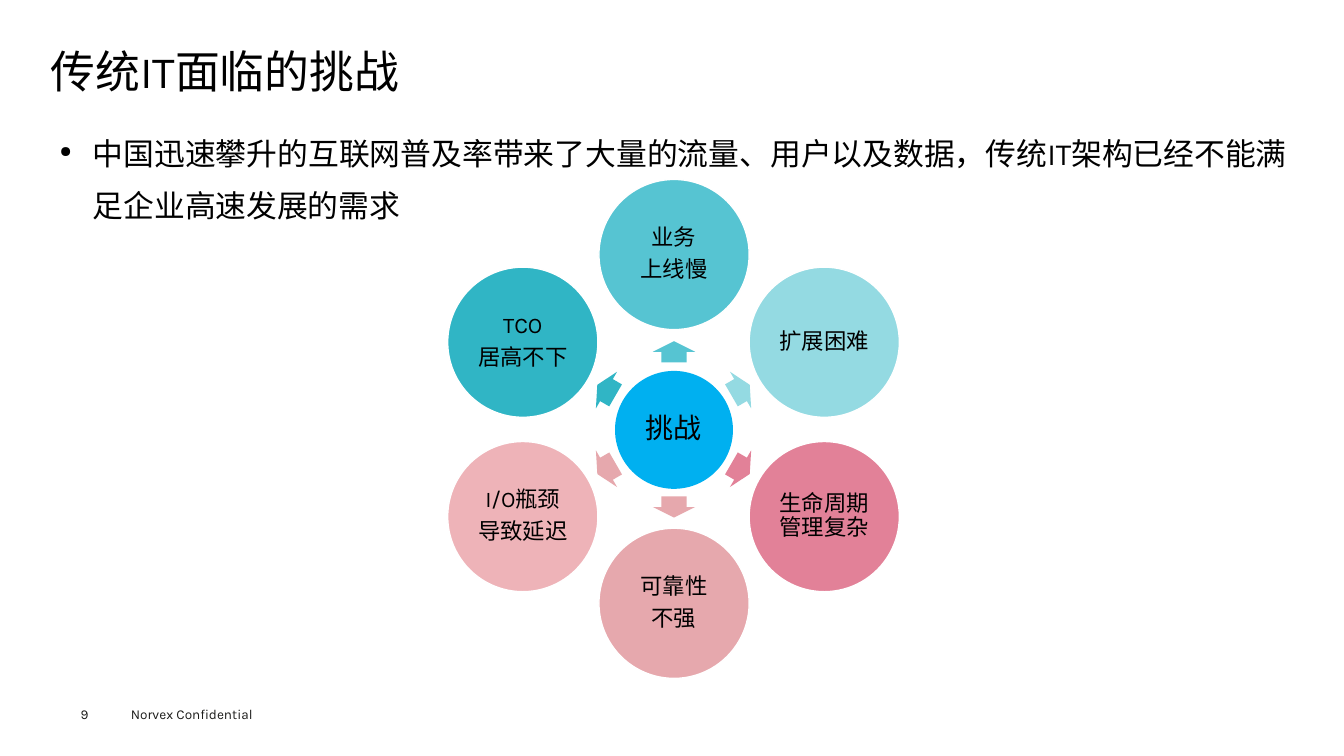
import math
from dataclasses import dataclass, field

import pptx
import pptx.dml.color
import pptx.enum.shapes
import pptx.enum.text
import pptx.oxml
import pptx.oxml.ns
import pptx.shapes.autoshape
import pptx.slide
import pptx.text.text
import pptx.util

PX = 9144
SHAPE = pptx.enum.shapes.MSO_SHAPE
ALIGN = pptx.enum.text.PP_ALIGN
ANCHOR = pptx.enum.text.MSO_ANCHOR

COLORS = {
    "text": "000000",
    "footer": "1D1D1B",
    "white": "FFFFFF",
    "hub": "00B0F0",
    "teal": "56C4D2",
    "aqua": "94DAE2",
    "rose": "E28198",
    "blush": "E6A8AD",
    "pink": "EEB3B8",
    "sea": "30B5C5",
}

CENTER_X, CENTER_Y = 668, 426
RING_RADIUS, ARROW_RADIUS = 173, 77
HUB_SIZE, CIRCLE_SIZE = 117, 149
ARROW_WIDTH, ARROW_HEIGHT = 21, 42


@dataclass
class Label:
    left: int
    top: int
    width: int
    height: int
    text: str
    size: float
    color: str = "text"
    margins: tuple[int, int] = (0, 0)
    para: dict = field(default_factory=dict)
    bullet: bool = False


@dataclass
class Challenge:
    lines: list[str]
    fill: str
    arrow: str


LABELS = [
    Label(120, 695, 160, 27, "Norvex Confidential", 9.7, "footer", (10, 5)),
    Label(80, 700, 55, 16, "9", 9.7, "footer"),
    Label(50, 49, 1235, 53, "传统IT面临的挑战", 32, para={"line_spacing": 0.9}),
    Label(50, 115, 1235, 534,
          "中国迅速攀升的互联网普及率带来了大量的流量、用户以及数据，传统IT架构已经不能满足企业高速发展的需求",
          22, margins=(9, 4), para={"alignment": ALIGN.JUSTIFY, "line_spacing": 1.4}, bullet=True),
]

CHALLENGES = [
    Challenge(["业务", "上线慢"], "teal", "teal"),
    Challenge(["扩展困难"], "aqua", "aqua"),
    Challenge(["生命周期管理复杂"], "rose", "rose"),
    Challenge(["可靠性", "不强"], "blush", "blush"),
    Challenge(["I/O瓶颈", "导致延迟"], "pink", "blush"),
    Challenge(["TCO", "居高不下"], "sea", "sea"),
]


def px(n: float) -> int:
    return round(n) * PX


def rgb(name: str) -> pptx.dml.color.RGBColor:
    return pptx.dml.color.RGBColor.from_string(COLORS[name])


def set_attrs(target: object, values: dict) -> None:
    for name, value in values.items():
        setattr(target, name, value)


def set_frame(tf: pptx.text.text.TextFrame, mx: int, my: int, anchor: ANCHOR) -> None:
    set_attrs(tf, {
        "word_wrap": True, "vertical_anchor": anchor,
        "margin_left": px(mx), "margin_right": px(mx),
        "margin_top": px(my), "margin_bottom": px(my),
    })


def add_bullet(p: pptx.text.text._Paragraph) -> None:
    pPr = p._p.get_or_add_pPr()
    pPr.set("marL", str(px(33)))
    pPr.set("indent", str(px(-33)))
    ns = pptx.oxml.ns.nsdecls("a")
    for xml in (f'<a:buSzPct {ns} val="50000"/>', f'<a:buChar {ns} char="●"/>'):
        pPr.append(pptx.oxml.parse_xml(xml))


def write(p: pptx.text.text._Paragraph, text: str, size: float, color: str, para: dict) -> None:
    set_attrs(p, para)
    r = p.add_run()
    r.text = text
    set_attrs(r.font, {"name": "Karla", "size": pptx.util.Pt(size)})
    r.font.color.rgb = rgb(color)


def add_label(s: pptx.slide.Slide, label: Label) -> None:
    sp = s.shapes.add_textbox(px(label.left), px(label.top), px(label.width), px(label.height))
    tf = sp.text_frame
    set_frame(tf, *label.margins, ANCHOR.TOP)
    p = tf.paragraphs[0]
    if label.bullet:
        add_bullet(p)
    write(p, label.text, label.size, label.color, label.para)


def add_centered(s: pptx.slide.Slide, kind: SHAPE, cx: float, cy: float,
                 w: int, h: int, fill: str) -> pptx.shapes.autoshape.Shape:
    sp = s.shapes.add_shape(kind, px(cx - w / 2), px(cy - h / 2), px(w), px(h))
    sp.shadow.inherit = False
    sp.fill.solid()
    sp.fill.fore_color.rgb = rgb(fill)
    sp.line.fill.background()
    return sp


def add_circle(s: pptx.slide.Slide, cx: float, cy: float, diameter: int, fill: str,
               lines: list[str], size: int, margin: int) -> pptx.shapes.autoshape.Shape:
    sp = add_centered(s, SHAPE.OVAL, cx, cy, diameter, diameter, fill)
    tf = sp.text_frame
    set_frame(tf, margin, margin, ANCHOR.MIDDLE)
    para = {"alignment": ALIGN.CENTER, "line_spacing": 0.9,
            "space_after": pptx.util.Pt(0.35 * size)}
    for i, line in enumerate(lines):
        p = tf.add_paragraph() if i else tf.paragraphs[0]
        write(p, line, size, "text", para)
    return sp


def add_challenge(s: pptx.slide.Slide, challenge: Challenge, angle: int) -> None:
    dx, dy = math.cos(math.radians(angle)), math.sin(math.radians(angle))
    arrow = add_centered(s, SHAPE.RIGHT_ARROW, CENTER_X + ARROW_RADIUS * dx,
                         CENTER_Y + ARROW_RADIUS * dy, ARROW_WIDTH, ARROW_HEIGHT, challenge.arrow)
    arrow.adjustments[0], arrow.adjustments[1] = 0.6, 0.5
    arrow.rotation = angle % 360
    circle = add_circle(s, CENTER_X + RING_RADIUS * dx, CENTER_Y + RING_RADIUS * dy,
                        CIRCLE_SIZE, challenge.fill, challenge.lines, 16, 2)
    circle.line.color.rgb = rgb("white")
    circle.line.width = pptx.util.Pt(1)


def main() -> None:
    prs = pptx.Presentation()
    set_attrs(prs, {"slide_width": px(1333), "slide_height": px(750)})
    s = prs.slides.add_slide(prs.slide_layouts[6])
    for label in LABELS:
        add_label(s, label)
    add_circle(s, CENTER_X, CENTER_Y, HUB_SIZE, "hub", ["挑战"], 20, 3)
    for i, challenge in enumerate(CHALLENGES):
        add_challenge(s, challenge, 60 * i - 90)
    prs.save("out.pptx")


if __name__ == "__main__":
    main()
